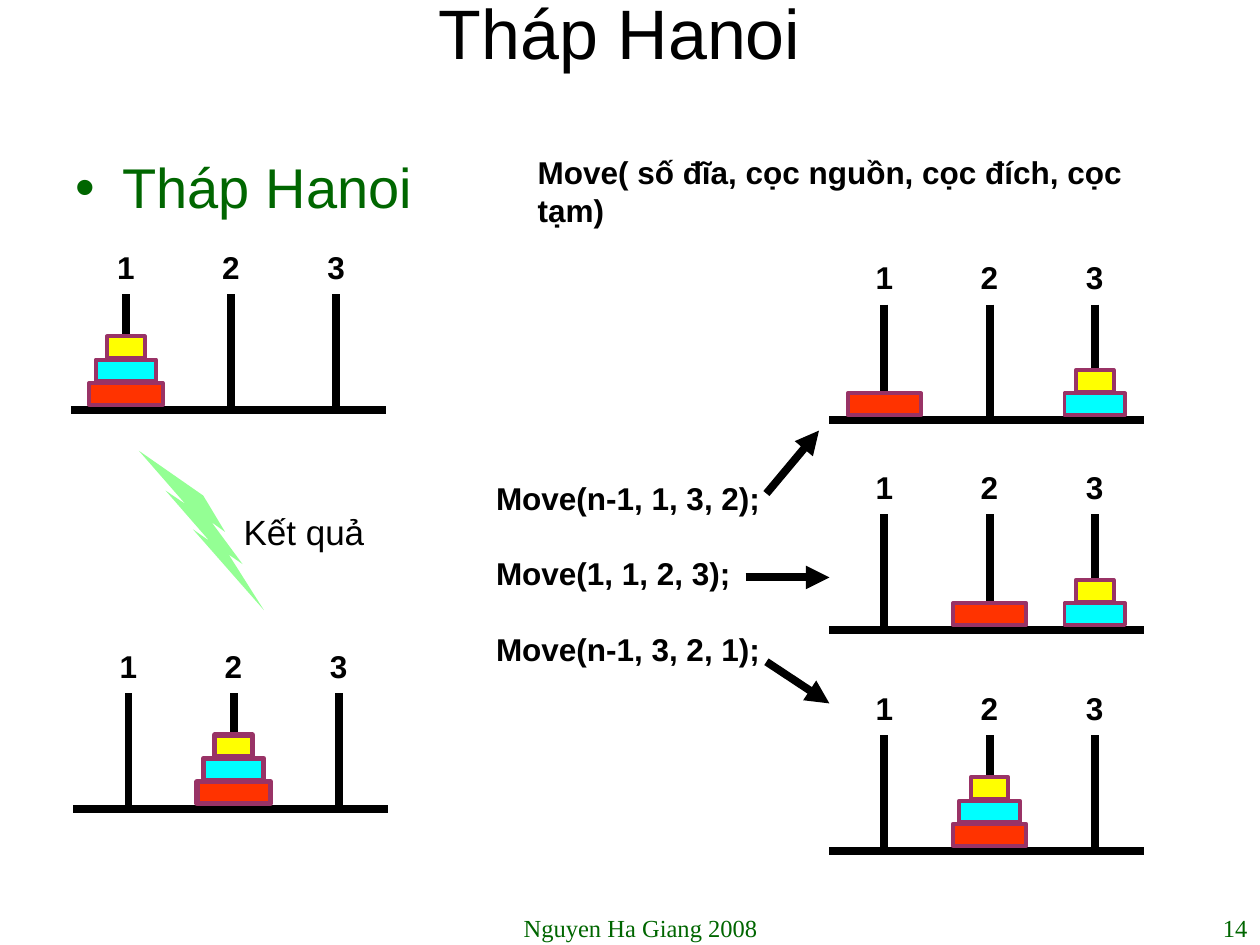
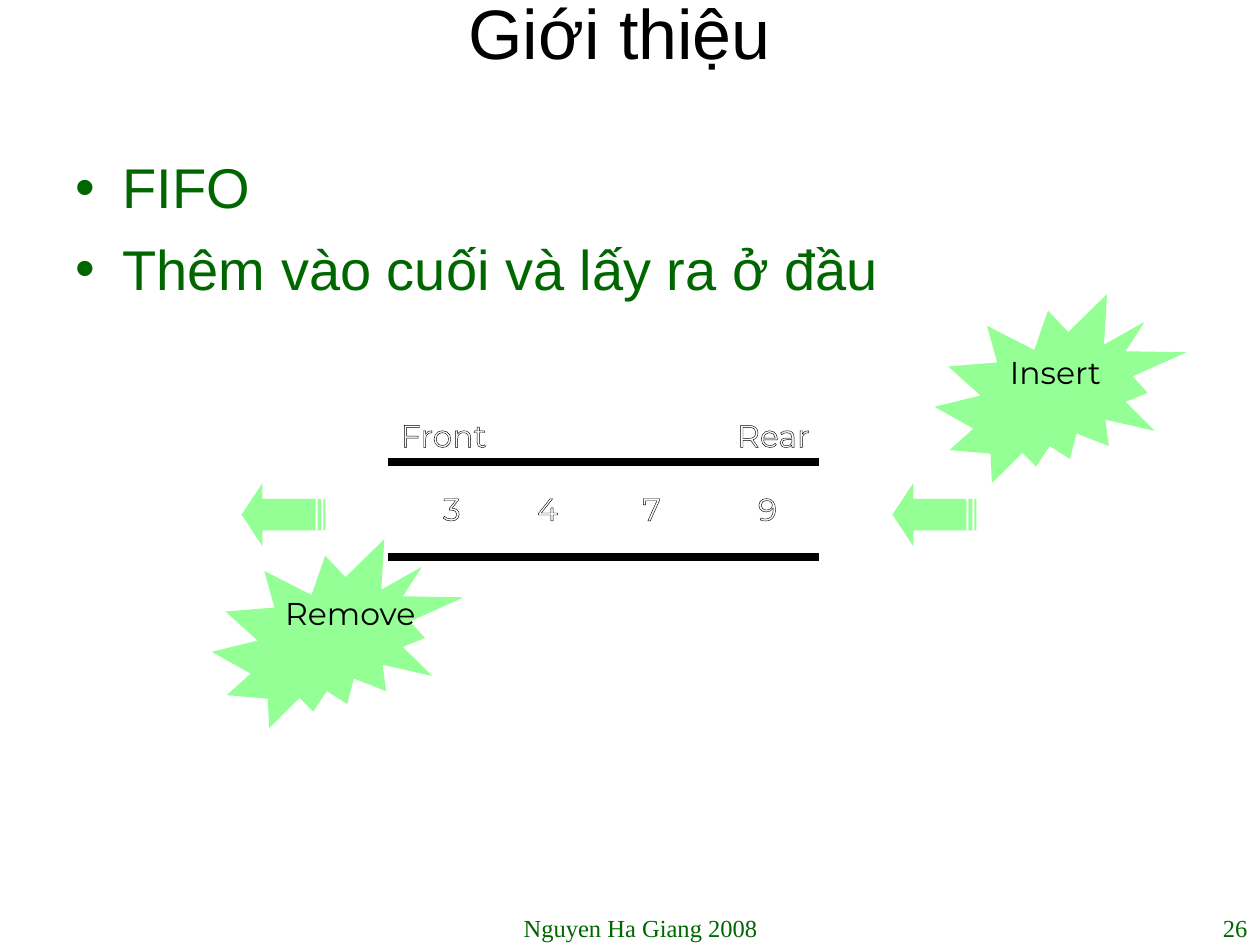
"""Build two lecture slides: the Tower of Hanoi recursion and the FIFO queue."""
from lxml import etree
from pptx import Presentation
from pptx.dml.color import RGBColor
from pptx.enum.shapes import MSO_CONNECTOR, MSO_SHAPE
from pptx.enum.text import MSO_ANCHOR, MSO_AUTO_SIZE, PP_ALIGN
from pptx.oxml.ns import qn
from pptx.util import Cm, Pt

STRAIGHT = MSO_CONNECTOR.STRAIGHT
RECTANGLE, BOLT = MSO_SHAPE.RECTANGLE, MSO_SHAPE.LIGHTNING_BOLT
BURST, STRIPED_ARROW = MSO_SHAPE.EXPLOSION2, MSO_SHAPE.STRIPED_RIGHT_ARROW
TOP, MIDDLE = MSO_ANCHOR.TOP, MSO_ANCHOR.MIDDLE
FIXED, GROW = MSO_AUTO_SIZE.NONE, MSO_AUTO_SIZE.SHAPE_TO_FIT_TEXT
LEFT, CENTER, RIGHT = PP_ALIGN.LEFT, PP_ALIGN.CENTER, PP_ALIGN.RIGHT

BLACK = RGBColor(0x00, 0x00, 0x00)
WHITE = RGBColor(0xFF, 0xFF, 0xFF)
GREEN = RGBColor(0x00, 0x66, 0x00)
MINT = RGBColor(0x94, 0xFF, 0x94)
PLUM = RGBColor(0x99, 0x33, 0x66)
RED = RGBColor(0xFF, 0x33, 0x00)
CYAN = RGBColor(0x00, 0xFF, 0xFF)
YELLOW = RGBColor(0xFF, 0xFF, 0x00)

SANS, QUEUE_FONT, SERIF = "Arial", "Montserrat", "Times New Roman"
AUTHOR = "Nguyen Ha Giang 2008"
STROKE = 4.5

DISKS = {"large": (1.48, RED), "medium": (1.22, CYAN), "small": (0.76, YELLOW)}
ALL_DISKS = ["large", "medium", "small"]
# Each tower: left, base, disk outline, disks from the bottom up on each peg
TOWERS = [
    (1.43, 8.26, 2.25, {1: ALL_DISKS}),
    (1.48, 16.3, 3, {2: ALL_DISKS}),
    (16.72, 8.47, 2.25, {1: ["large"], 3: ["medium", "small"]}),
    (16.72, 12.7, 2.25, {2: ["large"], 3: ["medium", "small"]}),
    (16.72, 17.15, 2.25, {2: ALL_DISKS}),
]
BASE_WIDTH, FIRST_PEG, PEG_GAP, PEG_HEIGHT = 6.35, 1.11, 2.12, 2.33
DISK_HEIGHT, DISK_PITCH, DISK_RISE = 0.44, 0.47, 0.54
LABEL_WIDTH, LABEL_HEIGHT, LABEL_RISE = 0.86, 1.02, 3.39

SIGNATURE = "Move( số đĩa, cọc nguồn, cọc đích, cọc tạm)"
CALLS = ["Move(n-1, 1, 3, 2);", "Move(1, 1, 2, 3);", "Move(n-1, 3, 2, 1);"]
CALL_ARROWS = [
    (15.45, 9.95, 16.51, 8.68),
    (15.03, 11.64, 16.72, 11.64),
    (15.45, 13.34, 16.72, 14.18),
]

QUEUE_LEFT, QUEUE_RIGHT, QUEUE_EDGES = 7.83, 16.51, (9.31, 11.22)
QUEUE_ITEMS = [("3", 8.68), ("4", 10.58), ("7", 12.7), ("9", 15.03)]
QUEUE_ENDS = [("Front", 7.83), ("Rear", 14.61)]
FLOW_ARROWS = [4.87, 17.99]
# Each burst: label, burst left and top, label left and top
BURSTS = [
    ("Insert", 18.84, 5.93, 20.11, 6.99),
    ("Remove", 4.27, 10.87, 5.5, 11.85),
]


def write(box, lines, size=18, font=SANS, color=BLACK, bold=False, align=LEFT,
          anchor=TOP, wrap=True, fit=FIXED, before=0, bullet=False, outline=False):
    """Fill a box with one formatted paragraph per line."""
    frame = box.text_frame
    frame.word_wrap, frame.auto_size, frame.vertical_anchor = wrap, fit, anchor
    for index, line in enumerate(lines):
        para = frame.add_paragraph() if index else frame.paragraphs[0]
        para.alignment, para.space_before = align, Pt(before)
        span = para.add_run()
        span.text = line
        span.font.size, span.font.name, span.font.bold = Pt(size), font, bold
        span.font.color.rgb = color
        if bullet:
            properties = para._p.get_or_add_pPr()
            properties.set("marL", str(Cm(0.95)))
            properties.set("indent", str(-Cm(0.95)))
            etree.SubElement(properties, qn("a:buFont")).set("typeface", SANS)
            etree.SubElement(properties, qn("a:buChar")).set("char", "•")
        if outline:
            edge = etree.Element(qn("a:ln"), w=str(Pt(0.75)))
            paint = etree.SubElement(edge, qn("a:solidFill"))
            etree.SubElement(paint, qn("a:srgbClr")).set("val", str(BLACK))
            span.font._element.insert(0, edge)


def add_text(shapes, lines, left, top, width, height, **style):
    """Add a text box."""
    box = shapes.add_textbox(Cm(left), Cm(top), Cm(width), Cm(height))
    write(box, lines, **style)


def add_line(shapes, x1, y1, x2, y2, arrow=False):
    """Add a thick black line, with an arrowhead at its end if asked."""
    line = shapes.add_connector(STRAIGHT, Cm(x1), Cm(y1), Cm(x2), Cm(y2))
    line.line.color.rgb, line.line.width = BLACK, Pt(STROKE)
    if arrow:
        etree.SubElement(line.line._get_or_add_ln(), qn("a:tailEnd")).set("type", "triangle")
    etree.SubElement(line._element.spPr, qn("a:effectLst"))


def add_shape(shapes, kind, left, top, width, height, fill=MINT, outline=0, turn=0):
    """Add a filled preset shape, outlined only when a width is given."""
    shape = shapes.add_shape(kind, Cm(left), Cm(top), Cm(width), Cm(height))
    shape.shadow.inherit = False
    shape.rotation = turn
    shape.fill.solid()
    shape.fill.fore_color.rgb = fill
    if outline:
        shape.line.color.rgb, shape.line.width = PLUM, Pt(outline)
    else:
        shape.line.fill.background()
    return shape


def add_page(deck, title, bullets, number):
    """Add a slide with its title, bullets and footer."""
    page = deck.slides.add_slide(deck.slide_layouts[5])
    heading = page.shapes.title
    heading.left, heading.top, heading.width, heading.height = Cm(1.06), Cm(0), Cm(22.86), Cm(1.27)
    write(heading, [title], size=40, align=CENTER, anchor=MIDDLE)
    add_text(page.shapes, bullets, 1.27, 2.96, 22.86, 14.6,
             size=32, color=GREEN, before=8, bullet=True)
    footer = {"size": 14, "font": SERIF, "color": GREEN}
    add_text(page.shapes, [AUTHOR], 8.89, 18.29, 8.05, 0.69, align=CENTER, **footer)
    add_text(page.shapes, [str(number)], 19.48, 18.29, 5.92, 0.69, align=RIGHT, **footer)
    return page


def add_tower(page, left, base, outline, stacks):
    """Draw three numbered pegs on a base with their disks, as one group."""
    shapes = page.shapes.add_group_shape().shapes
    add_line(shapes, left, base, left + BASE_WIDTH, base)
    for peg in (1, 2, 3):
        center = left + FIRST_PEG + (peg - 1) * PEG_GAP
        add_line(shapes, center, base - PEG_HEIGHT, center, base)
        for level, name in enumerate(stacks.get(peg, [])):
            width, color = DISKS[name]
            add_shape(shapes, RECTANGLE, center - width / 2,
                      base - DISK_RISE - level * DISK_PITCH, width, DISK_HEIGHT,
                      fill=color, outline=outline)
        add_text(shapes, [str(peg)], center - LABEL_WIDTH / 2, base - LABEL_RISE,
                 LABEL_WIDTH, LABEL_HEIGHT, bold=True, wrap=False, fit=GROW)


def build_hanoi(deck):
    """Show the start, the result and the three recursive moves."""
    page = add_page(deck, "Tháp Hanoi", ["Tháp Hanoi"], 14)
    for tower in TOWERS:
        add_tower(page, *tower)
    add_shape(page.shapes, BOLT, 2.11, 10.16, 4.01, 0.94, turn=41)
    add_text(page.shapes, ["Kết quả"], 4.66, 10.16, 2.95, 1.11, size=20, wrap=False, fit=GROW)
    code = {"bold": True, "wrap": False, "fit": GROW}
    add_text(page.shapes, [SIGNATURE], 10.59, 2.96, 13.79, 1.02, **code)
    add_text(page.shapes, CALLS[:1], 9.75, 9.53, 5.84, 1.02, **code)
    add_text(page.shapes, CALLS[1:2], 9.75, 11.05, 5.3, 1.02, **code)
    add_text(page.shapes, CALLS[2:], 9.75, 12.58, 5.84, 1.02, **code)
    for arrow in CALL_ARROWS:
        add_line(page.shapes, *arrow, arrow=True)


def build_queue(deck):
    """Show a queue with its two ends and the two operations."""
    page = add_page(deck, "Giới thiệu", ["FIFO", "Thêm vào cuối và lấy ra ở đầu"], 26)
    shapes = page.shapes
    style = {"font": QUEUE_FONT, "wrap": False, "outline": True}
    for edge in QUEUE_EDGES:
        add_line(shapes, QUEUE_LEFT, edge, QUEUE_RIGHT, edge)
    for item, left in QUEUE_ITEMS:
        add_text(shapes, [item], left, 9.74, 0.64, 1.17, color=WHITE, **style)
    for end, left in QUEUE_ENDS:
        add_text(shapes, [end], left, 8.26, 1.91, 0.74, color=WHITE, **style)
    for left in FLOW_ARROWS:
        arrow = add_shape(shapes, STRIPED_ARROW, left, 9.74, 1.69, 1.27, turn=180)
        arrow.adjustments[1] = 0.33
    for label, left, top, label_left, label_top in BURSTS:
        add_shape(shapes, BURST, left, top, 5.08, 3.81)
        add_text(shapes, [label], label_left, label_top, 2.03, 2.03, **style)


def main():
    """Build and save the deck."""
    deck = Presentation()
    deck.slide_width, deck.slide_height = Cm(25.4), Cm(19.05)
    build_hanoi(deck)
    build_queue(deck)
    deck.save("out.pptx")


if __name__ == "__main__":
    main()
